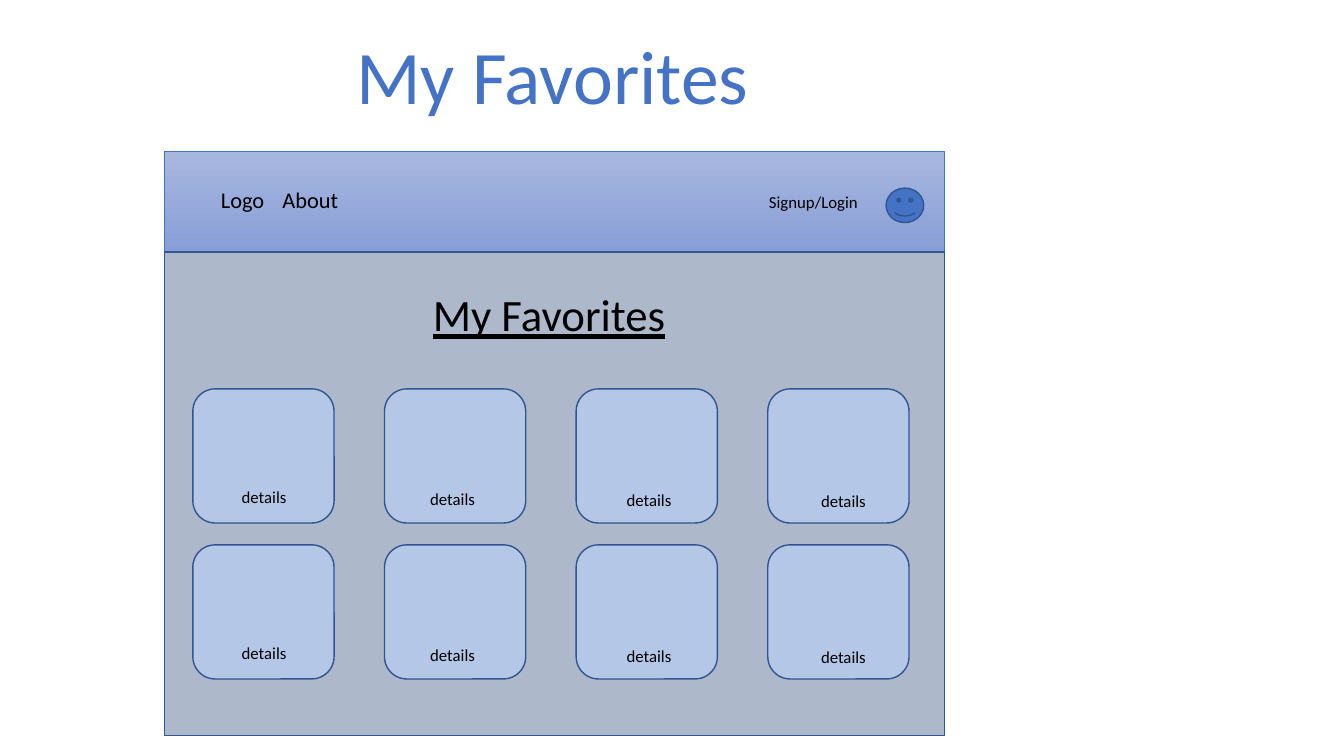
"""Build the My Favorites wireframe slide."""
import pptx
import pptx.dml.color
import pptx.enum.shapes
import pptx.enum.text
import pptx.util

Cm = pptx.util.Cm
SHAPE = pptx.enum.shapes.MSO_SHAPE
ALIGN = pptx.enum.text.PP_ALIGN
COLORS = {
    "title": "4472C4",
    "text": "000000",
    "outline": "325491",
    "window": "E7E6E6",
    "header top": "A8B7DF",
    "header bottom": "889ED7",
    "face": "4472C4",
    "body": "ADB9CA",
    "card": "B4C7E7",
}


def add_block(kind, left, top, width, height, fill):
    block = page.shapes.add_shape(kind, Cm(left), Cm(top), Cm(width), Cm(height))
    block.shadow.inherit = False
    block.fill.solid()
    block.fill.fore_color.rgb = pptx.dml.color.RGBColor.from_string(COLORS[fill])
    block.line.color.rgb = pptx.dml.color.RGBColor.from_string(COLORS["outline"])
    block.line.width = pptx.util.Pt(1)
    return block


def write_text(box, left, top, width, height, text, size, align, color="text"):
    box.left, box.top, box.width, box.height = Cm(left), Cm(top), Cm(width), Cm(height)
    box.text_frame.text = text
    box.text_frame.word_wrap = True
    para = box.text_frame.paragraphs[0]
    para.alignment = align
    span = para.runs[0]
    span.font.name = "Calibri"
    span.font.size = pptx.util.Pt(size)
    span.font.color.rgb = pptx.dml.color.RGBColor.from_string(COLORS[color])
    return span


deck = pptx.Presentation()
deck.slide_width, deck.slide_height = Cm(33.87), Cm(19.05)
page = deck.slides.add_slide(deck.slide_layouts[5])

write_text(page.shapes.title, 8.28, 0.58, 11.28, 2.57, "My Favorites", 54, ALIGN.CENTER, "title")
page.shapes.title.text_frame.word_wrap = False

add_block(SHAPE.RECTANGLE, 4.14, 3.86, 19.63, 14.68, "window")
header = add_block(SHAPE.RECTANGLE, 4.14, 3.81, 19.66, 2.54, "header top")
header.fill.gradient()
header.fill.gradient_angle = 270
for stop, name in zip(header.fill.gradient_stops, ("header top", "header bottom")):
    stop.color.rgb = pptx.dml.color.RGBColor.from_string(COLORS[name])
header.line.color.rgb = pptx.dml.color.RGBColor.from_string(COLORS["title"])
header.line.width = pptx.util.Pt(0.5)

for left, top, width, height, text, size in (
    (16.15, 4.7, 5.72, 0.76, "Signup/Login", 12),
    (4.95, 4.57, 1.96, 0.94, "Logo", 16),
    (6.43, 4.57, 2.34, 0.94, "About", 16),
):
    box = page.shapes.add_textbox(0, 0, 0, 0)
    write_text(box, left, top, width, height, text, size, ALIGN.RIGHT)

add_block(SHAPE.SMILEY_FACE, 22.33, 4.74, 0.95, 0.87, "face")
add_block(SHAPE.RECTANGLE, 4.14, 6.35, 19.66, 12.19, "body")

row_pitch, column_pitch = 3.93, 4.83
details_places = ((4.78, 12.14), (9.53, 12.19), (14.48, 12.22), (19.38, 12.24))
for row in range(2):
    for column, (left, top) in enumerate(details_places):
        add_block(SHAPE.ROUNDED_RECTANGLE, 4.86 + column * column_pitch,
                  9.8 + row * row_pitch, 3.56, 3.38, "card")
        box = page.shapes.add_textbox(0, 0, 0, 0)
        write_text(box, left, top + row * row_pitch, 2.69, 0.76, "details", 12, ALIGN.RIGHT)

box = page.shapes.add_textbox(0, 0, 0, 0)
heading = write_text(box, 9.09, 7.11, 9.5, 1.63, "My Favorites", 32, ALIGN.CENTER)
heading.font.underline = True

deck.save("out.pptx")
